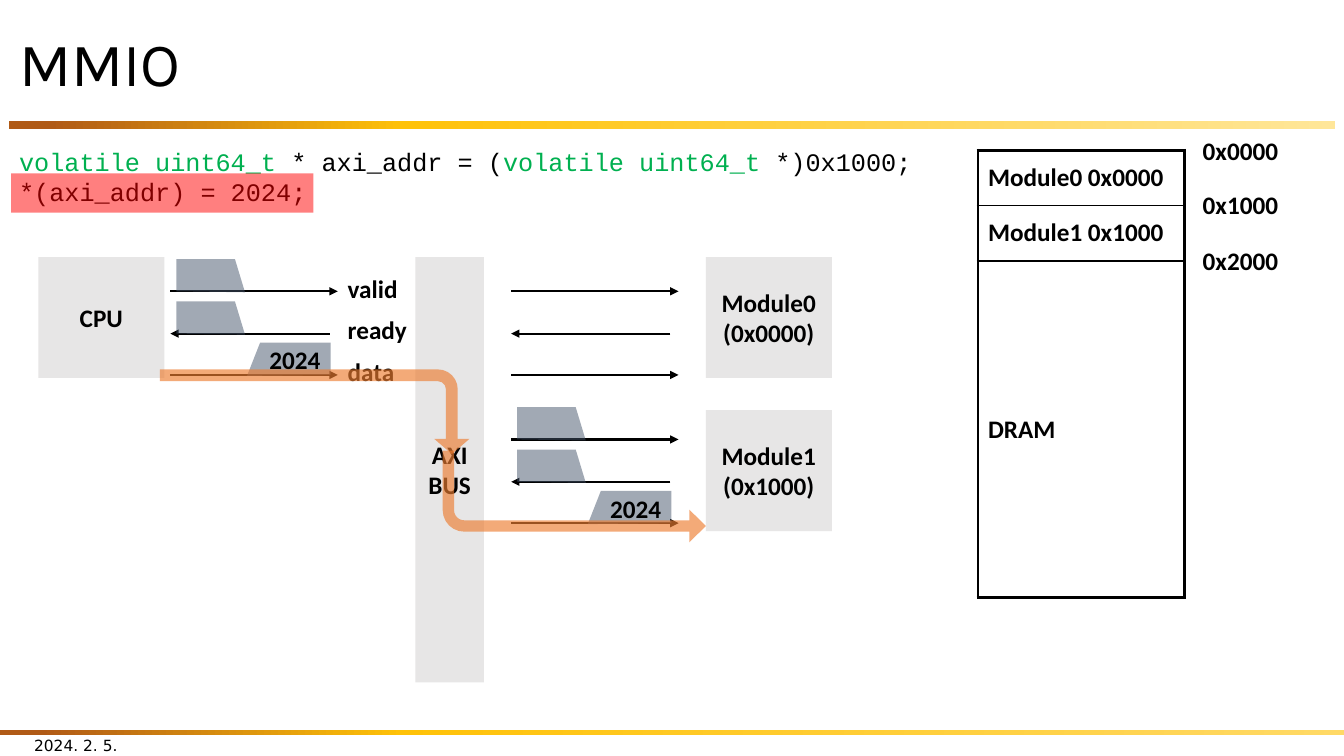
from copy import deepcopy

from lxml import etree
from pptx import Presentation
from pptx.dml.color import RGBColor
from pptx.enum.shapes import MSO_CONNECTOR, MSO_SHAPE
from pptx.enum.text import MSO_ANCHOR, MSO_AUTO_SIZE, PP_ALIGN
from pptx.oxml.ns import qn
from pptx.util import Pt

PX = 9144
RECTANGLE, BENT_ARROW = MSO_SHAPE.RECTANGLE, MSO_SHAPE.BENT_ARROW
STRAIGHT = MSO_CONNECTOR.STRAIGHT
LEFT, CENTER = PP_ALIGN.LEFT, PP_ALIGN.CENTER
TOP, MIDDLE = MSO_ANCHOR.TOP, MSO_ANCHOR.MIDDLE
NO_AUTOFIT = MSO_AUTO_SIZE.NONE
COLORS = {
    "black": "000000", "block": "E7E6E6", "type": "00B050",
    "signal": "44546A", "highlight": "FF0000", "route": "ED7D31",
    "brown": "B05A16", "gold": "FFC208", "pale": "FFE699", "sand": "FFD966",
}


def paint(shape, color, opacity=100):
    shape.shadow.inherit = False
    shape.line.fill.background()
    shape.fill.solid()
    shape.fill.fore_color.rgb = RGBColor.from_string(COLORS[color])
    if opacity < 100:
        tint = shape.element.spPr.find(".//" + qn("a:srgbClr"))
        etree.SubElement(tint, qn("a:alpha"), val=str(opacity * 1000))


def write(frame, lines, align=LEFT, anchor=TOP, size=18, font="Calibri", bold=True):
    frame.word_wrap = True
    frame.vertical_anchor = anchor
    for number, line in enumerate(lines):
        para = frame.add_paragraph() if number else frame.paragraphs[0]
        para.alignment = align
        for text, color in line if isinstance(line, list) else [(line, "black")]:
            span = para.add_run()
            span.text = text
            span.font.size = Pt(size)
            span.font.name = font
            span.font.bold = bold
            span.font.color.rgb = RGBColor.from_string(COLORS[color])


deck = Presentation()
deck.slide_width, deck.slide_height = 1333 * PX, 750 * PX
page = deck.slides.add_slide(deck.slide_layouts[5])
shapes = page.shapes

title = shapes.title
title.left, title.top, title.width, title.height = [v * PX for v in (9, 17, 1315, 98)]
title.text_frame.auto_size = NO_AUTOFIT
write(title.text_frame, ["MMIO"], anchor=MIDDLE, size=44, font="Karla", bold=False)
title.text_frame.paragraphs[0].line_spacing = 0.9

for area, end_color in [((9, 120, 1315, 8), "pale"), ((0, 724, 1333, 5), "sand")]:
    rule = shapes.add_shape(RECTANGLE, *[v * PX for v in area])
    rule.shadow.inherit = False
    rule.line.fill.background()
    rule.fill.gradient()
    rule.fill.gradient_angle = 0
    stop_list = rule.element.spPr.find(".//" + qn("a:gsLst"))
    stop_list.append(deepcopy(stop_list[-1]))
    stops = [(0.03, "brown"), (0.3, "gold"), (1, end_color)]
    for stop, (position, color) in zip(rule.fill.gradient_stops, stops):
        stop.position = position
        stop.color.rgb = RGBColor.from_string(COLORS[color])

date = shapes.add_textbox(*[v * PX for v in (24, 719, 300, 40)])
write(date.text_frame, ["2024. 2. 5."], anchor=MIDDLE, size=11, font="DejaVu Sans", bold=False)

code = shapes.add_textbox(*[v * PX for v in (9, 140, 1108, 71)])
code_lines = [
    [("volatile uint64_t ", "type"), ("* axi_addr = (", "black"),
     ("volatile uint64_t", "type"), (" *)0x1000;", "black")],
    "*(axi_addr) = 2024;",
]
write(code.text_frame, code_lines, font="Courier New", bold=False)

blocks = [
    ((38, 255, 125, 120), ["CPU"]),
    ((412, 255, 68, 422), ["AXI BUS"]),
    ((700, 255, 125, 120), ["Module0", "(0x0000)"]),
    ((700, 407, 125, 120), ["Module1", "(0x1000)"]),
]
for area, lines in blocks:
    block = shapes.add_shape(RECTANGLE, *[v * PX for v in area])
    paint(block, "block")
    write(block.text_frame, lines, CENTER, MIDDLE)

memory = shapes.add_table(3, 1, *[v * PX for v in (970, 149, 205, 444)]).table
memory.first_row = memory.horz_banding = False
regions = [("Module0 0x0000", 55), ("Module1 0x1000", 55), ("DRAM", 334)]
for number, (name, height) in enumerate(regions):
    memory.rows[number].height = height * PX
    cell = memory.cell(number, 0)
    write(cell.text_frame, [name])
    cell.vertical_anchor = MIDDLE
    properties = cell._tc.get_or_add_tcPr()
    widths = {"L": 2.25, "R": 2.25, "T": 1 if number else 2.25, "B": 2.25 if number == 2 else 1}
    for side, width in widths.items():
        border = etree.SubElement(properties, qn("a:ln" + side), w=str(Pt(width)))
        border_fill = etree.SubElement(border, qn("a:solidFill"))
        etree.SubElement(border_fill, qn("a:srgbClr"), val=COLORS["black"])
    cell.fill.background()

labels = [
    (1183, 129, "0x0000"), (1183, 183, "0x1000"), (1183, 238, "0x2000"),
    (335, 266, "valid"), (335, 307, "ready"), (335, 349, "data"),
]
for x, y, text in labels:
    label = shapes.add_textbox(x * PX, y * PX, 141 * PX, 40 * PX)
    write(label.text_frame, [text])

control_pulse = [(68, 33), (58, 0), (0, 0), (0, 32)]
data_pulse = [(0, 33), (13, 0), (83, 0), (83, 32)]
signals = [
    (0, 0, 166, 6, control_pulse),
    (42, 158, 0, 6, control_pulse),
    (83, 0, 166, 76, data_pulse),
]
for x, y, active in [(169, 289, True), (507, 289, False), (507, 436, True)]:
    for drop, start, end, pulse_x, outline in signals:
        line_y = y + drop
        wire = shapes.add_connector(
            STRAIGHT, *[v * PX for v in (x + start, line_y, x + end, line_y)])
        wire.line.width = Pt(1.5)
        wire.line.color.rgb = RGBColor.from_string(COLORS["black"])
        etree.SubElement(wire.line._get_or_add_ln(), qn("a:tailEnd"), type="triangle")
        etree.SubElement(wire.element.spPr, qn("a:effectLst"))
        if active:
            builder = shapes.build_freeform(*outline[0], scale=PX)
            builder.add_line_segments(outline[1:], close=True)
            pulse = builder.convert_to_shape((x + pulse_x) * PX, (line_y - 32) * PX)
            paint(pulse, "signal", 50)
    if active:
        value = shapes.add_textbox(*[v * PX for v in (x + 53, y + 48, 141, 40)])
        write(value.text_frame, ["2024"], CENTER)

highlight = shapes.add_shape(RECTANGLE, *[v * PX for v in (11, 172, 300, 39)])
paint(highlight, "highlight", 50)

routes = [
    ((270, 255, 84, 307), 90, False, (0.139, 0.207, 0.179, 0.235)),
    ((439, 447, 261, 91), 180, True, (0.124, 0.178, 0.179, 0.235)),
]
for area, rotation, flipped, adjustments in routes:
    route = shapes.add_shape(BENT_ARROW, *[v * PX for v in area])
    route.rotation = rotation
    if flipped:
        route.element.spPr.find(qn("a:xfrm")).set("flipH", "1")
    for number, adjustment in enumerate(adjustments):
        route.adjustments[number] = adjustment
    paint(route, "route", 65)

deck.save("out.pptx")
